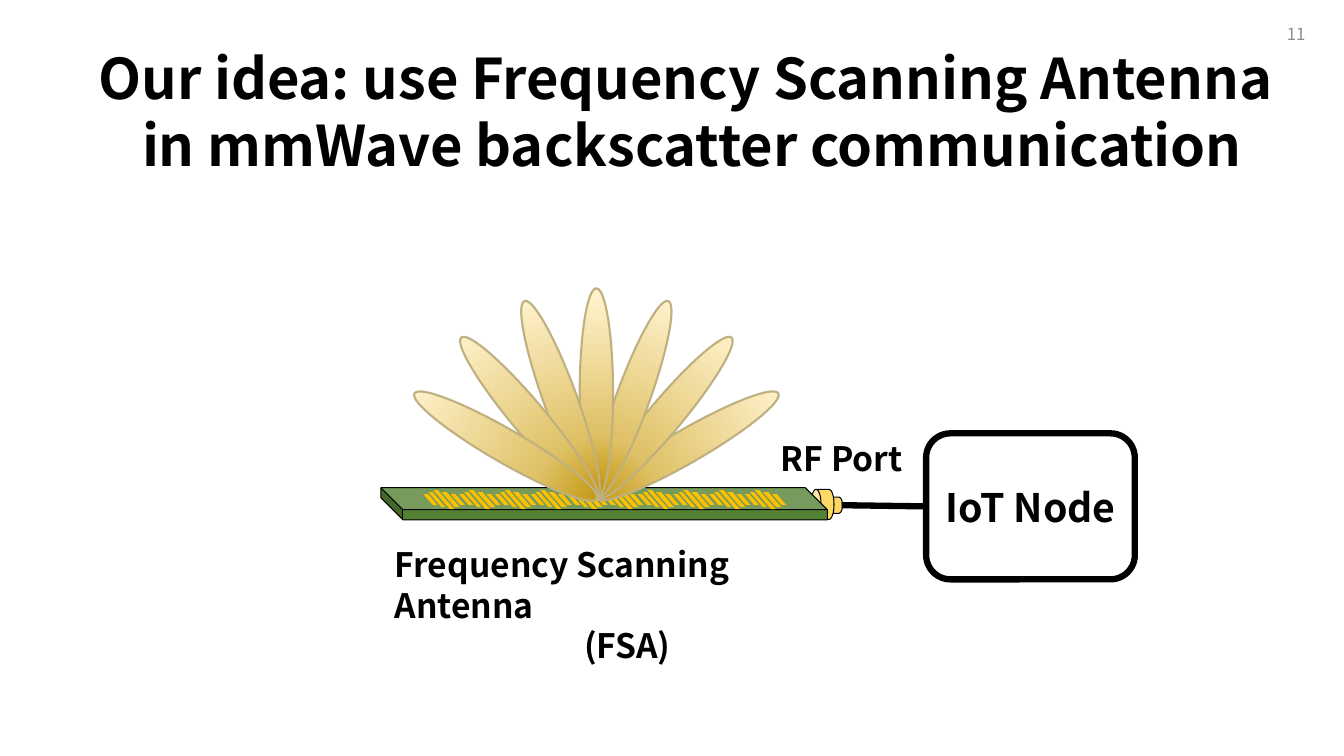
from math import cos, radians, sin

from lxml import etree
from pptx import Presentation
from pptx.dml.color import RGBColor
from pptx.enum.shapes import MSO_CONNECTOR, MSO_SHAPE
from pptx.enum.text import MSO_ANCHOR, PP_ALIGN
from pptx.oxml import parse_xml
from pptx.oxml.ns import nsdecls, qn
from pptx.util import Cm, Pt

CAN = MSO_SHAPE.CAN
CUBE = MSO_SHAPE.CUBE
PARALLELOGRAM = MSO_SHAPE.PARALLELOGRAM
ELLIPSE = MSO_SHAPE.OVAL
ROUNDED = MSO_SHAPE.ROUNDED_RECTANGLE
STRAIGHT = MSO_CONNECTOR.STRAIGHT
TOP, MIDDLE = MSO_ANCHOR.TOP, MSO_ANCHOR.MIDDLE
LEFT, CENTER, RIGHT = PP_ALIGN.LEFT, PP_ALIGN.CENTER, PP_ALIGN.RIGHT

FONT = "Noto Sans CJK SC"
BLACK = "000000"
LOBE_STOPS = [(4, "FFF2CC"), (68, "DFC167"), (100, "BF9000")]
PATCHES = [(0, 0.36, 0.28), (0.13, 0.43, 0.38), (0.25, 0.53, 0.48),
           (0.46, 0.46, 0.38), (0.69, 0.36, 0.28)]


def color(value):
    return RGBColor.from_string(value)


def add_shape(slide, kind, box, fill=None, line=None, weight=0.75,
              adjustment=None, rotation=0, flip=False):
    shape = slide.shapes.add_shape(kind, *map(Cm, box))
    shape.shadow.inherit = False
    shape.rotation = rotation
    if adjustment is not None:
        shape.adjustments[0] = adjustment
    if flip:
        shape.element.spPr.find(qn("a:xfrm")).set("flipH", "1")
    if fill:
        shape.fill.solid()
        shape.fill.fore_color.rgb = color(fill)
    if line:
        shape.line.color.rgb = color(line)
        shape.line.width = Pt(weight)
    else:
        shape.line.fill.background()
    return shape


def write_text(shape, lines, size, alignments, anchor=TOP, bold=True, ink=BLACK):
    frame = shape.text_frame
    frame.word_wrap = True
    frame.vertical_anchor = anchor
    frame.text = "\n".join(lines)
    font_format = {"name": FONT, "size": Pt(size), "bold": bold}
    for paragraph, alignment in zip(frame.paragraphs, alignments):
        paragraph.alignment = alignment
        for run in paragraph.runs:
            for name, value in font_format.items():
                setattr(run.font, name, value)
            run.font.color.rgb = color(ink)


def add_text(slide, box, *text, **options):
    write_text(slide.shapes.add_textbox(*map(Cm, box)), *text, **options)


def add_antenna(slide):
    add_shape(slide, CAN, (20.8, 12.5, 0.41, 0.46), "FFD966", BLACK,
              adjustment=0.436, rotation=270)
    add_shape(slide, CAN, (20.35, 12.42, 0.76, 0.58), "FFD966", BLACK,
              adjustment=0.436, rotation=270)
    add_shape(slide, CUBE, (9.6, 12.29, 11.25, 0.81), "548235", BLACK,
              adjustment=0.684, flip=True)
    for period in range(10):
        for offset, width, height in PATCHES:
            box = (10.67 + 0.9 * period + offset, 12.59 - height / 2, width, height)
            add_shape(slide, PARALLELOGRAM, box, "FFC000", adjustment=0.869, flip=True)


def add_lobe(slide, angle):
    width, height, reach = 0.84, 5.31, 2.64
    left = 15.03 + reach * sin(radians(angle)) - width / 2
    top = 12.56 - reach * cos(radians(angle)) - height / 2
    lobe = add_shape(slide, ELLIPSE, (left, top, width, height),
                     line="BFB080", weight=1.5, rotation=angle % 360)
    stops = "".join(f'<a:gs pos="{position * 1000}"><a:srgbClr val="{value}"/></a:gs>'
                    for position, value in LOBE_STOPS)
    gradient = parse_xml(f'<a:gradFill {nsdecls("a")} rotWithShape="1"><a:gsLst>{stops}'
                         '</a:gsLst><a:lin ang="5400000" scaled="0"/></a:gradFill>')
    lobe.element.spPr.find(qn("a:prstGeom")).addnext(gradient)


def add_node(slide):
    node = add_shape(slide, ROUNDED, (23.34, 10.92, 5.26, 3.68), "FFFFFF", BLACK, 4.5)
    write_text(node, ["IoT Node"], 28, [CENTER], anchor=MIDDLE)
    cable = slide.shapes.add_connector(STRAIGHT, Cm(21.21), Cm(12.73), Cm(23.34), Cm(12.76))
    cable.end_connect(node, 1)
    cable.line.color.rgb = color(BLACK)
    cable.line.width = Pt(4.5)
    etree.SubElement(cable.element.spPr, qn("a:effectLst"))


def main():
    presentation = Presentation()
    presentation.slide_width = Cm(33.87)
    presentation.slide_height = Cm(19.05)
    slide = presentation.slides.add_slide(presentation.slide_layouts[6])
    add_antenna(slide)
    for angle in range(60, -61, -20):
        add_lobe(slide, angle)
    add_text(slide, (9.7, 13.59, 12.22, 2.31),
             ["Frequency Scanning Antenna", "(FSA)"], 24, [LEFT, CENTER])
    add_text(slide, (19.43, 10.92, 4.34, 1.27), ["RF Port"], 24, [LEFT])
    add_text(slide, (25.53, 0.33, 7.62, 1.02), ["11"], 12, [RIGHT],
             anchor=MIDDLE, bold=False, ink="8C8C8C")
    add_text(slide, (0.25, 0.97, 34.37, 3.68),
             ["Our idea: use Frequency Scanning Antenna ",
              "in mmWave backscatter communication"], 40, [CENTER, CENTER])
    add_node(slide)
    presentation.save("out.pptx")


if __name__ == "__main__":
    main()
